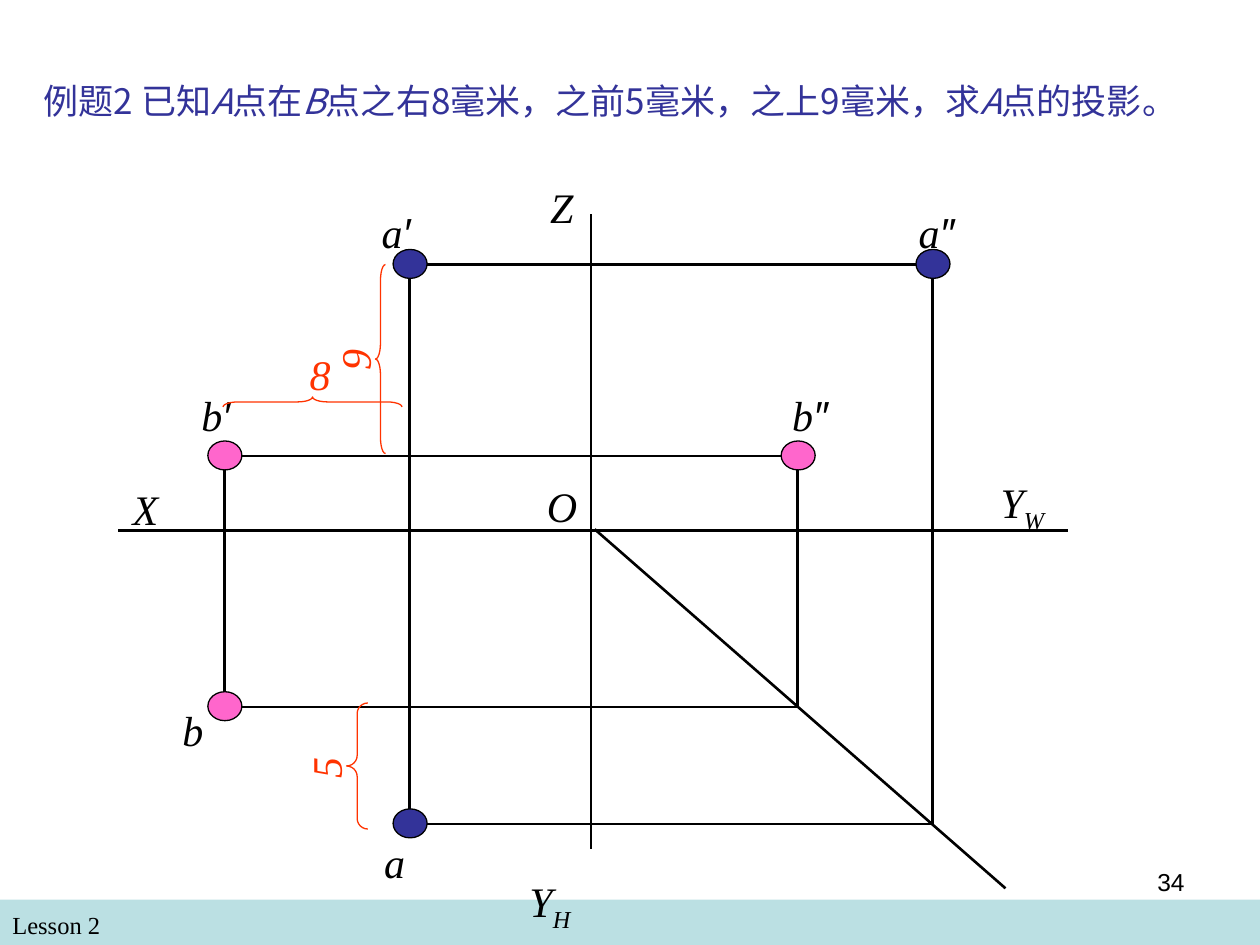
from typing import NamedTuple, Optional

from lxml import etree
from pptx import Presentation
from pptx.dml.color import RGBColor
from pptx.enum.shapes import MSO_CONNECTOR, MSO_SHAPE
from pptx.enum.text import MSO_ANCHOR, PP_ALIGN
from pptx.oxml.ns import qn
from pptx.util import Pt

PX = 9144  # EMU per px, 100 px to the inch
STRAIGHT = MSO_CONNECTOR.STRAIGHT
RECTANGLE, OVAL, BRACE = MSO_SHAPE.RECTANGLE, MSO_SHAPE.OVAL, MSO_SHAPE.LEFT_BRACE
TOP, MIDDLE = MSO_ANCHOR.TOP, MSO_ANCHOR.MIDDLE
LEFT, CENTER, RIGHT = PP_ALIGN.LEFT, PP_ALIGN.CENTER, PP_ALIGN.RIGHT

BLACK = RGBColor(0x00, 0x00, 0x00)
NAVY = RGBColor(0x33, 0x33, 0x99)
PINK = RGBColor(0xFF, 0x66, 0xCC)
RED = RGBColor(0xFF, 0x33, 0x00)
PALE_TEAL = RGBColor(0xBB, 0xE0, 0xE3)

SERIF, SANS, CHINESE = "Times New Roman", "Arial", "Noto Sans CJK SC"


class Span(NamedTuple):
    text: str
    italic: Optional[bool] = None
    font: Optional[str] = None
    subscript: bool = False


class Box(NamedTuple):
    left: int
    top: int
    width: int
    height: int


class Style(NamedTuple):
    size: int
    font: str
    color: RGBColor
    italic: bool = False
    align: PP_ALIGN = LEFT
    anchor: MSO_ANCHOR = TOP


class Label(NamedTuple):
    box: Box
    spans: tuple[Span, ...]
    wrap: bool = False


class Segment(NamedTuple):
    x1: int
    y1: int
    x2: int
    y2: int


class Dot(NamedTuple):
    x: int
    y: int
    color: RGBColor


class Dimension(NamedTuple):
    value: str
    value_box: Box
    value_rotation: int
    brace_box: Box
    brace_rotation: int


TITLE = Style(20, CHINESE, NAVY, anchor=MIDDLE)
FOOTER = Style(14, SERIF, BLACK)
PAGE_NUMBER = Style(14, SANS, BLACK, align=RIGHT)
POINT_NAME = Style(24, SERIF, BLACK, True, CENTER, MIDDLE)
DIMENSION_VALUE = POINT_NAME._replace(color=RED)

# Projections of A and B: front and side views share heights, front and top share x.
A_X, A_SIDE_X, A_Z, A_Y = 325, 740, 210, 654
B_X, B_SIDE_X, B_Z, B_Y = 178, 633, 362, 561
ORIGIN_X, ORIGIN_Y = 469, 421

SEGMENTS = [
    Segment(94, ORIGIN_Y, 848, ORIGIN_Y),
    Segment(ORIGIN_X, 170, ORIGIN_X, 674),
    Segment(472, 420, 798, 705),
]
DOTS = []
for x, side_x, z, y, color in (
    (A_X, A_SIDE_X, A_Z, A_Y, NAVY),
    (B_X, B_SIDE_X, B_Z, B_Y, PINK),
):
    SEGMENTS += [
        Segment(x, z, side_x, z),
        Segment(x, y, side_x, y),
        Segment(x, z, x, y),
        Segment(side_x, z, side_x, y),
    ]
    DOTS += [Dot(x, z, color), Dot(side_x, z, color), Dot(x, y, color)]

PRIME, DOUBLE_PRIME = Span("′ ", font=SANS), Span("″ ", font=SANS)
LABELS = [
    Label(Box(291, 159, 56, 50), (Span("a"), PRIME)),
    Label(Box(718, 159, 60, 50), (Span("a"), DOUBLE_PRIME)),
    Label(Box(295, 659, 36, 50), (Span("a"),)),
    Label(Box(148, 304, 56, 50), (Span("b"), PRIME)),
    Label(Box(590, 304, 115, 50), (Span("b"), DOUBLE_PRIME), wrap=True),
    Label(Box(135, 554, 36, 50), (Span("b"),)),
    Label(Box(90, 379, 51, 50), (Span("X"),), wrap=True),
    Label(Box(421, 139, 50, 50), (Span("Z"),), wrap=True),
    Label(Box(424, 376, 44, 50), (Span("O"),)),
    Label(Box(765, 373, 93, 56), (Span("Y"), Span("W", subscript=True)), wrap=True),
    Label(Box(390, 690, 93, 56), (Span("Y"), Span("H", subscript=True)), wrap=True),
]
DIMENSIONS = [
    Dimension("9", Box(263, 261, 36, 50), 270, Box(298, 210, 8, 150), 0),
    Dimension("8", Box(236, 272, 36, 50), 0, Box(244, 248, 8, 142), 90),
    Dimension("5", Box(240, 585, 36, 50), 270, Box(275, 558, 17, 100), 0),
]
TITLE_SPANS = (
    Span("例题2 已知"),
    Span("A", italic=True),
    Span("点在"),
    Span("B", italic=True),
    Span("点之右8毫米，之前5毫米，之上9毫米，求"),
    Span("A", italic=True),
    Span("点的投影。"),
)


def emu(box: Box) -> list[int]:
    return [length * PX for length in box]


def add_text(slide, label: Label, style: Style, rotation: int = 0) -> None:
    text_box = slide.shapes.add_textbox(*emu(label.box))
    text_box.rotation = rotation
    frame = text_box.text_frame
    frame.word_wrap = label.wrap
    frame.vertical_anchor = style.anchor
    paragraph = frame.paragraphs[0]
    paragraph.alignment = style.align
    font = paragraph.font
    font.size, font.name, font.italic = Pt(style.size), style.font, style.italic
    font.color.rgb = style.color
    for span in label.spans:
        run = paragraph.add_run()
        run.text = span.text
        run.font.italic = span.italic
        run.font.name = span.font
        properties = run._r.get_or_add_rPr()
        if span.subscript:
            properties.set("baseline", "-25000")
        if style.font == CHINESE:
            etree.SubElement(properties, qn("a:ea"), typeface=CHINESE)


def add_segment(slide, segment: Segment) -> None:
    line = slide.shapes.add_connector(STRAIGHT, *(length * PX for length in segment))
    line.line.color.rgb = BLACK
    line.line.width = Pt(1.5)
    etree.SubElement(line._element.spPr, qn("a:effectLst"))


def add_dot(slide, dot: Dot) -> None:
    oval = slide.shapes.add_shape(OVAL, *emu(Box(dot.x - 13, dot.y - 12, 27, 23)))
    oval.shadow.inherit = False
    oval.fill.solid()
    oval.fill.fore_color.rgb = dot.color
    oval.line.color.rgb = BLACK
    oval.line.width = Pt(0.75)


def add_dimension(slide, dimension: Dimension) -> None:
    """Draw a brace over the measured distance, with its value beside it."""
    box = dimension.brace_box
    brace = slide.shapes.add_shape(BRACE, *emu(box))
    brace.adjustments[0] = box.height / 12 / box.width
    brace.rotation = dimension.brace_rotation
    brace.shadow.inherit = False
    brace.fill.background()
    brace.line.color.rgb = RED
    brace.line.width = Pt(0.75)
    value = Label(dimension.value_box, (Span(dimension.value),))
    add_text(slide, value, DIMENSION_VALUE, dimension.value_rotation)


def add_footer(slide) -> None:
    band = slide.shapes.add_shape(RECTANGLE, *emu(Box(0, 714, 1000, 36)))
    band.shadow.inherit = False
    band.fill.solid()
    band.fill.fore_color.rgb = PALE_TEAL
    band.line.fill.background()
    add_text(slide, Label(Box(0, 717, 483, 34), (Span("Lesson 2"),), True), FOOTER)
    add_text(slide, Label(Box(717, 683, 233, 52), (Span("34"),), True), PAGE_NUMBER)


def main() -> None:
    presentation = Presentation()
    presentation.slide_width, presentation.slide_height = 1000 * PX, 750 * PX
    slide = presentation.slides.add_slide(presentation.slide_layouts[6])
    add_footer(slide)
    add_text(slide, Label(Box(25, 17, 933, 125), TITLE_SPANS, True), TITLE)
    for segment in SEGMENTS:
        add_segment(slide, segment)
    for dot in DOTS:
        add_dot(slide, dot)
    for label in LABELS:
        add_text(slide, label, POINT_NAME)
    for dimension in DIMENSIONS:
        add_dimension(slide, dimension)
    presentation.save("out.pptx")


if __name__ == "__main__":
    main()
